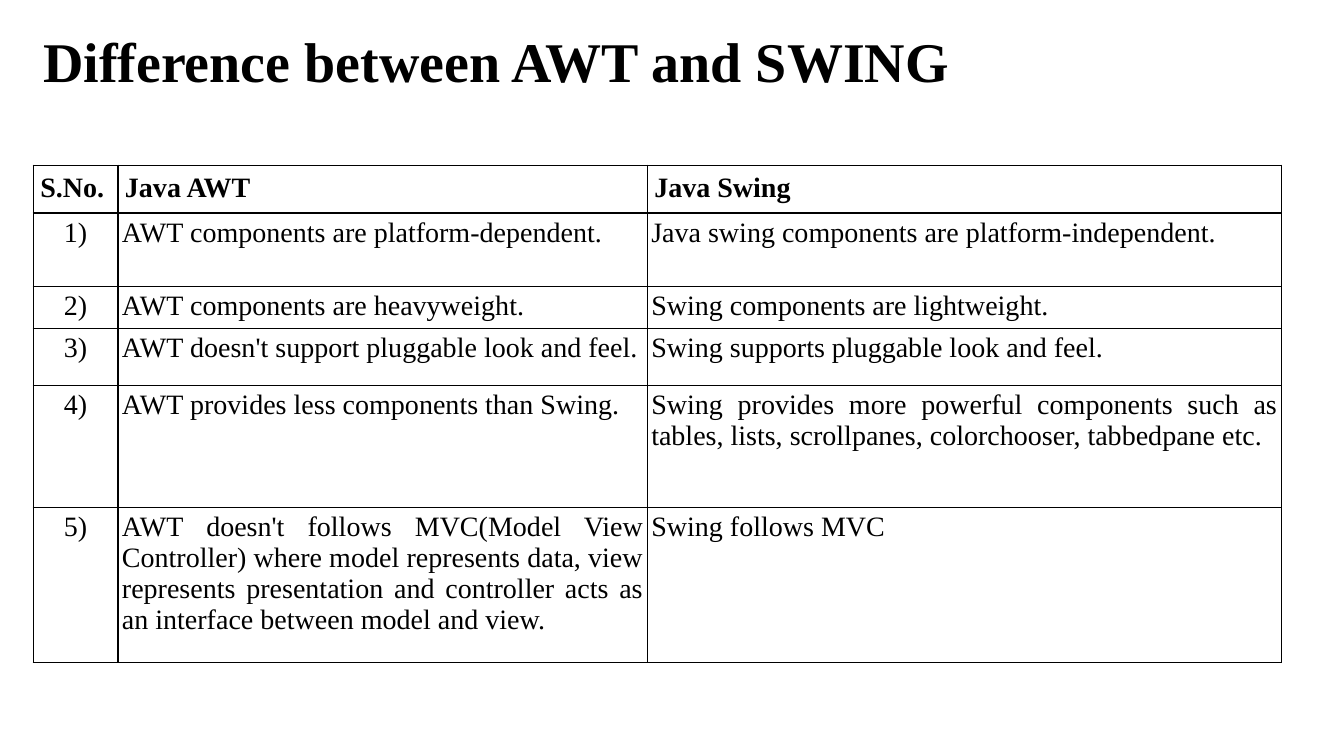
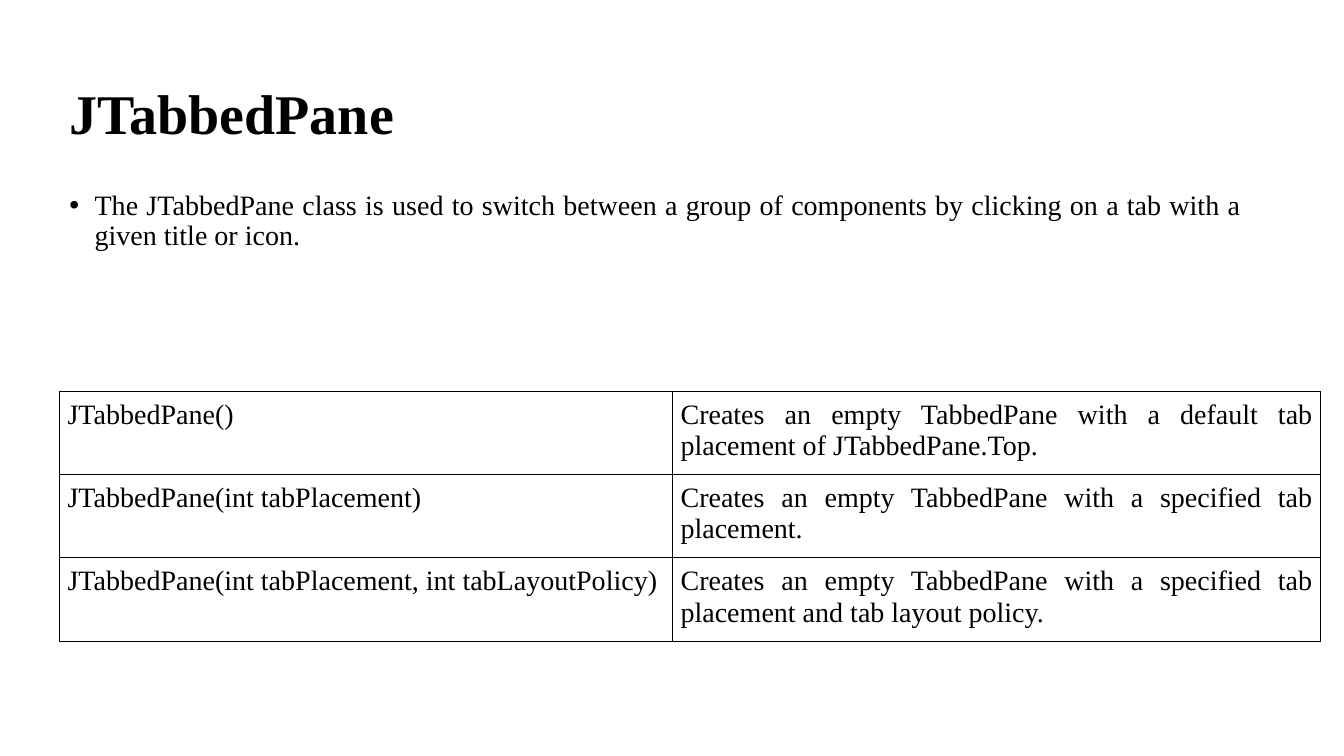
from dataclasses import dataclass

from lxml import etree
from pptx import Presentation, util as u
from pptx.dml.color import RGBColor
from pptx.enum import text as t
from pptx.oxml import ns

PX = 9144  # 100 px to the inch


@dataclass(frozen=True)
class Theme:
    font: str = "Times New Roman"
    ink: RGBColor = RGBColor(0, 0, 0)
    title: int = 40
    body: int = 20
    rule: int = 1
    lead: float = 0.9


THEME = Theme()
JUST = t.PP_ALIGN.JUSTIFY

COMPARE = [
    ("S.No.", "Java AWT", "Java Swing"),
    ("1)", "AWT components are platform-dependent.",
     "Java swing components are platform-independent."),
    ("2)", "AWT components are heavyweight.",
     "Swing components are lightweight."),
    ("3)", "AWT doesn't support pluggable look and feel.",
     "Swing supports pluggable look and feel."),
    ("4)", "AWT provides less components than Swing.",
     "Swing provides more powerful components such as tables, lists, "
     "scrollpanes, colorchooser, tabbedpane etc."),
    ("5)", "AWT doesn't follows MVC(Model View Controller) where model "
     "represents data, view represents presentation and controller acts "
     "as an interface between model and view.",
     "Swing follows MVC"),
]

BUILDERS = [
    ("JTabbedPane()",
     "Creates an empty TabbedPane with a default tab placement of "
     "JTabbedPane.Top."),
    ("JTabbedPane(int tabPlacement)",
     "Creates an empty TabbedPane with a specified tab placement."),
    ("JTabbedPane(int tabPlacement, int tabLayoutPolicy)",
     "Creates an empty TabbedPane with a specified tab placement and "
     "tab layout policy."),
]


def px(*vals):
    return [u.Emu(v * PX) for v in vals]


def style(para, size, bold=False, align=None):
    para.alignment = align
    font = para.font
    font.name, font.size, font.bold = THEME.font, u.Pt(size), bold
    font.color.rgb = THEME.ink


# Text blocks
def add_text(slide, box, words, anchor):
    frame = slide.shapes.add_textbox(*px(*box)).text_frame
    frame.word_wrap = True
    frame.vertical_anchor = anchor
    frame.text = words
    para = frame.paragraphs[0]
    para.line_spacing = THEME.lead
    return para


def add_title(slide, box, words):
    para = add_text(slide, box, words, t.MSO_ANCHOR.MIDDLE)
    style(para, THEME.title, bold=True)


def add_bullet(slide, box, words, indent=25):
    para = add_text(slide, box, words, t.MSO_ANCHOR.TOP)
    props = para._p.get_or_add_pPr()
    props.set("marL", str(indent * PX))
    props.set("indent", str(-indent * PX))
    face = etree.SubElement(props, ns.qn("a:buFont"))
    face.set("typeface", "Arial")
    etree.SubElement(props, ns.qn("a:buChar")).set("char", "•")
    style(para, THEME.body, align=JUST)


# Ruled tables
def add_rules(cell):
    props = cell._tc.get_or_add_tcPr()
    for side in "LRTB":
        line = etree.SubElement(props, ns.qn("a:ln" + side))
        line.set("w", str(u.Pt(THEME.rule)))
        fill = etree.SubElement(line, ns.qn("a:solidFill"))
        etree.SubElement(fill, ns.qn("a:srgbClr")).set("val", str(THEME.ink))


def fill_cell(cell, words, pad, bold, align):
    add_rules(cell)
    cell.fill.background()
    inset = px(pad)[0]
    cell.margin_left = cell.margin_right = inset
    cell.margin_top = cell.margin_bottom = inset
    cell.text = words
    style(cell.text_frame.paragraphs[0], THEME.body, bold, align)


def add_grid(slide, spot, cols, rows, data, pad, head=None):
    """Draw a table; head is the padding of a bold first row, if any."""
    size = (sum(cols), sum(rows))
    grid = slide.shapes.add_table(len(rows), len(cols),
                                  *px(*spot, *size)).table
    grid.first_row = grid.horz_banding = False
    for col, wide in zip(grid.columns, px(*cols)):
        col.width = wide
    for row, high in zip(grid.rows, px(*rows)):
        row.height = high
    for r, line in enumerate(data):
        top = head is not None and r == 0
        for c, words in enumerate(line):
            mid = head is not None and not top and c == 0
            fill_cell(grid.cell(r, c), words, head if top else pad, top,
                      t.PP_ALIGN.CENTER if mid else JUST)


# Slides
def add_compare(slide):
    add_title(slide, (33, 9, 1208, 109), "Difference between AWT and SWING")
    add_grid(slide, (33, 164), (84, 525, 629), (44, 73, 41, 57, 121, 154),
             COMPARE, pad=4, head=7)


def add_pane(slide):
    left, wide = 59, 1182
    add_title(slide, (left, 46, wide, 139), "JTabbedPane")
    add_bullet(slide, (left, 185, wide, 491),
               "The JTabbedPane class is used to switch between a group of "
               "components by clicking on a tab with a given title or icon.")
    add_grid(slide, (left, 388), (608, 643), [78] * len(BUILDERS),
             BUILDERS, pad=8)


def main():
    deck = Presentation()
    deck.slide_width, deck.slide_height = px(1333, 750)
    blank = deck.slide_layouts[6]
    for build in (add_compare, add_pane):
        build(deck.slides.add_slide(blank))
    deck.save("out.pptx")


if __name__ == "__main__":
    main()
